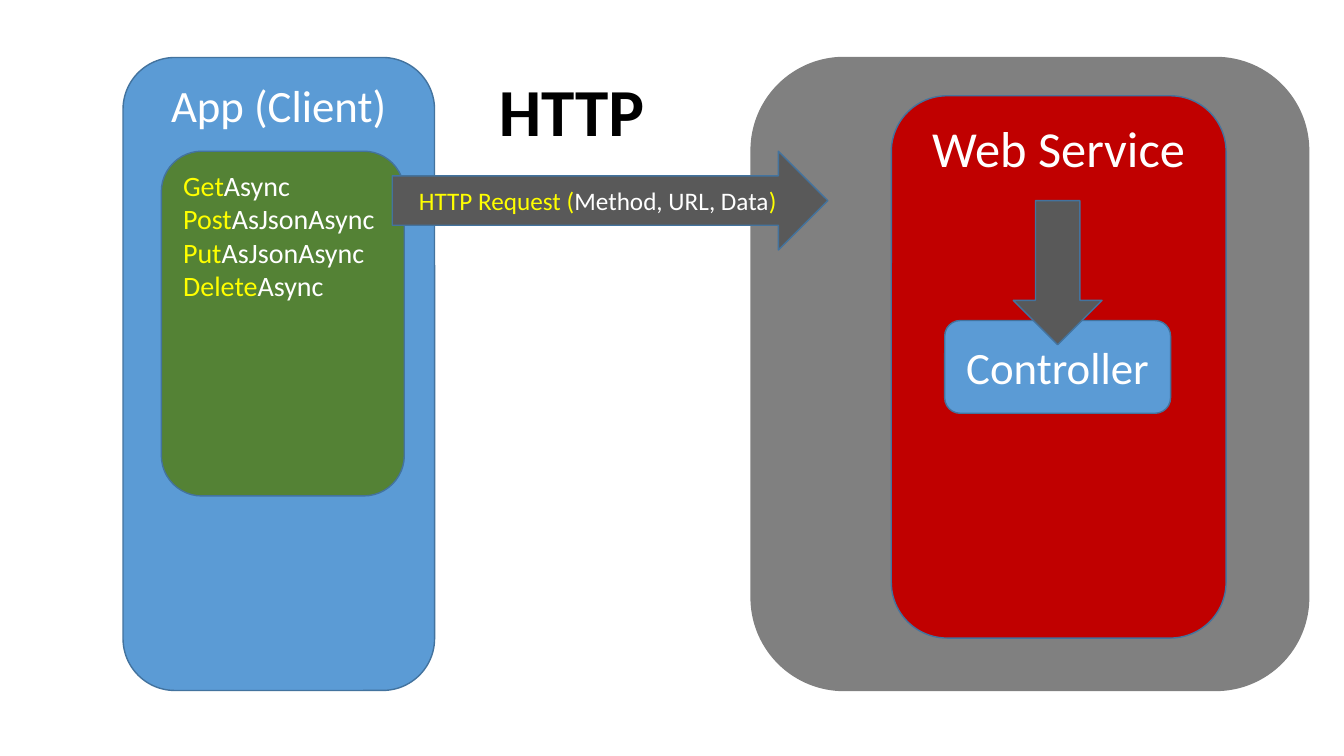
from pptx import Presentation
from pptx import util as u
from pptx.dml.color import RGBColor
from pptx.enum import shapes, text

BLUE = RGBColor(0x5B, 0x9B, 0xD5)
EDGE = RGBColor(0x43, 0x73, 0x9E)
GRAY = RGBColor(0x80, 0x80, 0x80)
DARK = RGBColor(0x59, 0x59, 0x59)
RED = RGBColor(0xC0, 0x00, 0x00)
GREEN = RGBColor(0x54, 0x82, 0x35)
YELLOW = RGBColor(0xFF, 0xFF, 0x00)
WHITE = RGBColor(0xFF, 0xFF, 0xFF)
BLACK = RGBColor(0x00, 0x00, 0x00)

KIND = shapes.MSO_SHAPE
TOP, MIDDLE = text.MSO_ANCHOR.TOP, text.MSO_ANCHOR.MIDDLE
LEFT, CENTER = text.PP_ALIGN.LEFT, text.PP_ALIGN.CENTER


class Board:
    """Holds the style and the current slide."""

    font = "Calibri"
    edge = u.Pt(1)

    def __init__(self, slide):
        """Keep the slide to draw on."""
        self.slide = slide

    def shape(self, kind, box, fill, line=EDGE):
        """Add a filled preset shape and return it."""
        item = self.slide.shapes.add_shape(kind, *map(u.Inches, box))
        item.shadow.inherit = False
        item.fill.solid()
        item.fill.fore_color.rgb = fill
        item.line.color.rgb = line
        item.line.width = self.edge
        return item

    def label(self, box):
        """Add a text box that does not wrap and return it."""
        item = self.slide.shapes.add_textbox(*map(u.Inches, box))
        item.text_frame.word_wrap = False
        return item

    def words(self, item, rows, size, align=CENTER, anchor=TOP, bold=False):
        """Fill a shape with rows of (part, colour) runs."""
        frame = item.text_frame
        frame.vertical_anchor = anchor
        look = {"name": self.font, "size": u.Pt(size), "bold": bold}
        for index, row in enumerate(rows):
            para = frame.add_paragraph() if index else frame.paragraphs[0]
            para.alignment = align
            for part, color in row:
                run = para.add_run()
                run.text = part
                for key, value in look.items():
                    setattr(run.font, key, value)
                run.font.color.rgb = color


deck = Presentation()
deck.slide_width, deck.slide_height = u.Inches(13.33), u.Inches(7.5)
board = Board(deck.slides.add_slide(deck.slide_layouts[6]))

client = board.shape(KIND.ROUNDED_RECTANGLE, (1.22, 0.57, 3.09, 6.28), BLUE)
board.words(client, [[("App (Client)", WHITE)]], 32)

board.shape(KIND.ROUNDED_RECTANGLE, (7.45, 0.57, 5.53, 6.28), GRAY, GRAY)
service = board.shape(KIND.ROUNDED_RECTANGLE, (8.84, 0.95, 3.32, 5.38), RED)
board.words(service, [[("Web Service", WHITE)]], 36)

title = board.label((4.85, 0.64, 1.66, 0.91))
board.words(title, [[("HTTP", BLACK)]], 48, LEFT, bold=True)

control = board.shape(KIND.ROUNDED_RECTANGLE, (9.37, 3.18, 2.24, 0.92), BLUE)
board.words(control, [[("Controller", WHITE)]], 32, anchor=MIDDLE)
board.shape(KIND.DOWN_ARROW, (10.05, 1.99, 0.88, 1.43), DARK)

calls = [("Get", "Async"), ("Post", "AsJsonAsync"),
         ("Put", "AsJsonAsync"), ("Delete", "Async")]
methods = board.shape(KIND.ROUNDED_RECTANGLE, (1.6, 1.5, 2.41, 3.42), GREEN)
board.words(methods, [[(verb, YELLOW), (rest, WHITE)] for verb, rest in calls],
            20, LEFT)

request = board.shape(KIND.RIGHT_ARROW, (3.89, 1.5, 4.32, 0.98), DARK)
board.words(request, [[("HTTP Request (", YELLOW),
                       ("Method, URL, Data", WHITE), (")", YELLOW)]],
            18, anchor=MIDDLE)

deck.save("out.pptx")
